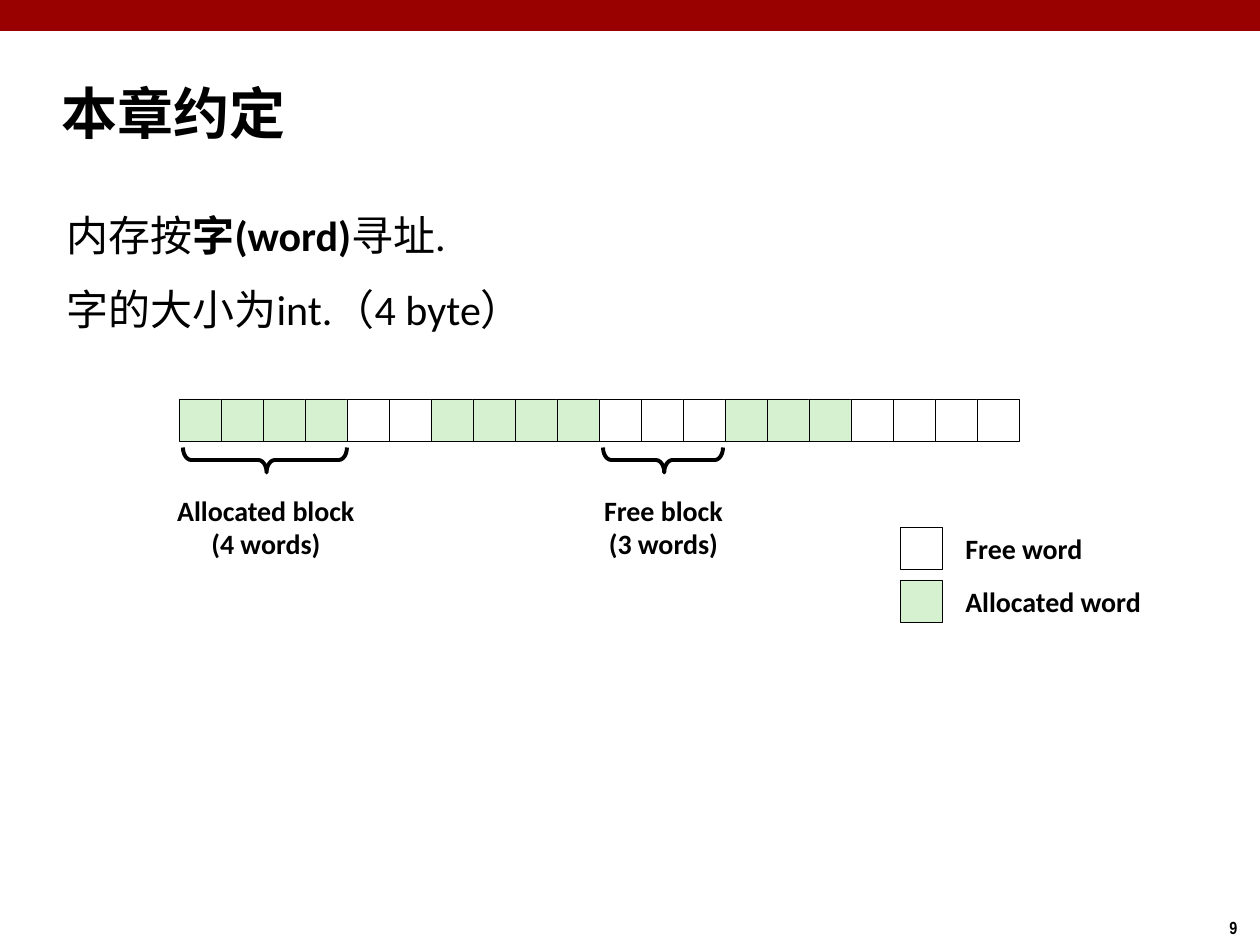
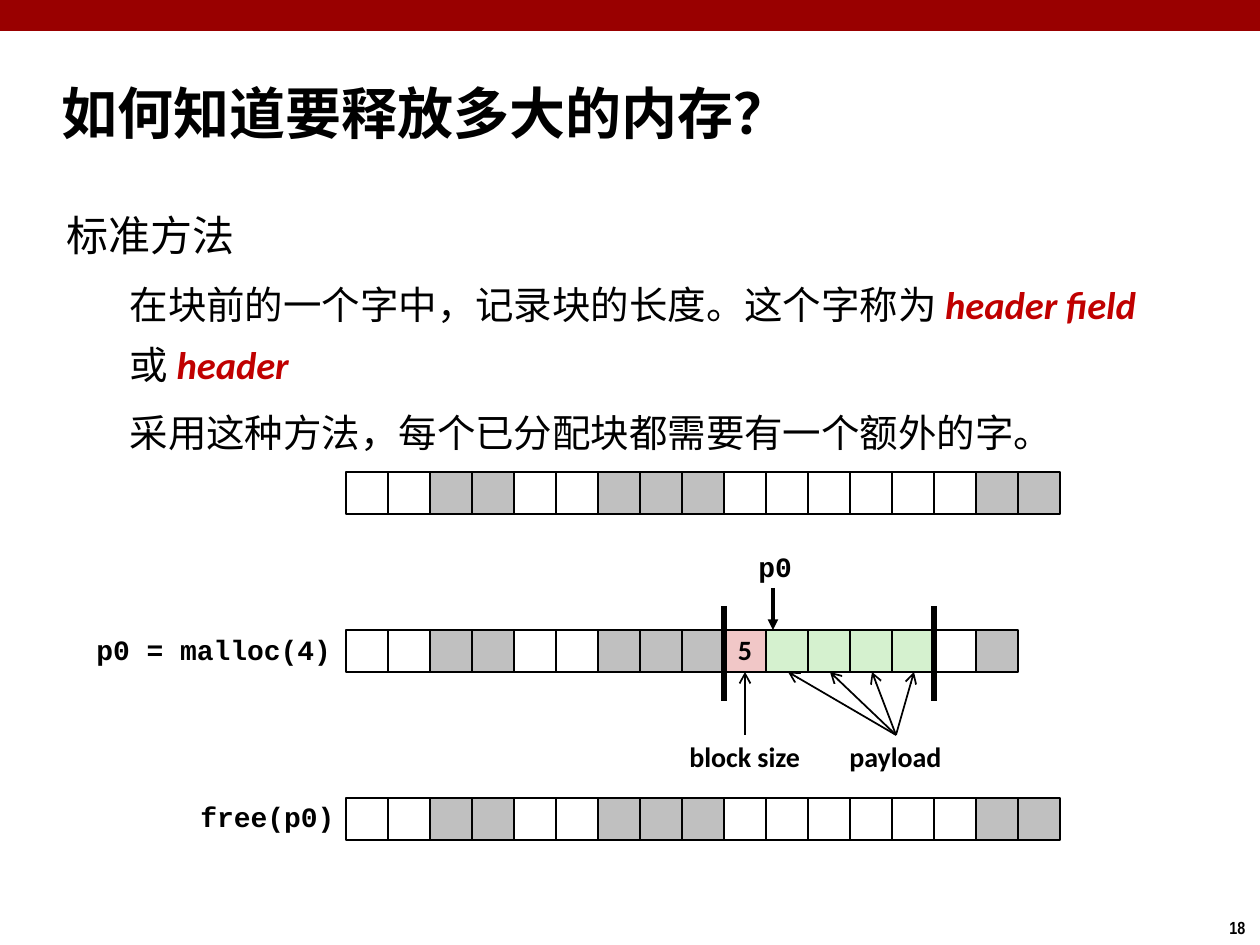
from lxml.etree import SubElement
from pptx import Presentation
from pptx.dml.color import RGBColor
from pptx.enum.shapes import MSO_CONNECTOR, MSO_SHAPE
from pptx.enum.text import MSO_ANCHOR, MSO_AUTO_SIZE, PP_ALIGN
from pptx.oxml.ns import qn
from pptx.util import Emu, Pt

PX_PER_INCH = 126
PAGE_WIDTH, PAGE_HEIGHT = 1260, 945
CELL = 42

BLACK = RGBColor(0x00, 0x00, 0x00)
WHITE = RGBColor(0xFF, 0xFF, 0xFF)
BAND_RED = RGBColor(0x99, 0x00, 0x00)
TERM_RED = RGBColor(0xC0, 0x00, 0x00)
GREEN = RGBColor(0xD5, 0xF1, 0xCF)
GREY = RGBColor(0xC0, 0xC0, 0xC0)
PINK = RGBColor(0xF1, 0xC7, 0xC7)
CELL_FILLS = {"F": WHITE, "A": GREEN, "U": GREY, "H": PINK}

SANS, MONO, NARROW = "Calibri", "Courier New", "Arial Narrow"
PLAIN, BOLD, TERM = "plain", "bold", "term"
BODY_SIZES = (24, 22)
LEVEL_INDENT = 63


def px(length):
    """Turn pixels into EMU."""
    return Emu(round(length * 914400 / PX_PER_INCH))


def place(shape, left, top, width, height):
    """Move and size a shape in pixels."""
    shape.left, shape.top = px(left), px(top)
    shape.width, shape.height = px(width), px(height)


def style_font(font, size, name=SANS, bold=True):
    """Set a black font."""
    font.size, font.name, font.bold = Pt(size), name, bold
    font.color.rgb = BLACK


def add_box(page, kind, left, top, width, height, fill=None, line=None):
    """Add a preset shape, with a black outline if a line width is given."""
    box = page.shapes.add_shape(kind, px(left), px(top), px(width), px(height))
    box.shadow.inherit = False
    if fill is None:
        box.fill.background()
    else:
        box.fill.solid()
        box.fill.fore_color.rgb = fill
    if line is None:
        box.line.fill.background()
    else:
        box.line.color.rgb = BLACK
        box.line.width = Pt(line)
    return box


def write_lines(frame, lines, size=16, name=SANS, align=PP_ALIGN.LEFT, spacing=0.98):
    """Fill a text frame that does not wrap with bold lines."""
    frame.word_wrap = False
    frame.text = "\n".join(lines)
    for para in frame.paragraphs:
        para.alignment = align
        para.line_spacing = spacing
        style_font(para.font, size, name)


def add_label(page, left, top, width, height, *lines, **style):
    """Add a text box that fits its lines."""
    label = page.shapes.add_textbox(px(left), px(top), px(width), px(height))
    write_lines(label.text_frame, lines, **style)
    label.text_frame.auto_size = MSO_AUTO_SIZE.SHAPE_TO_FIT_TEXT


def add_cell(page, left, top, kind, line, text=None):
    """Add one memory word."""
    cell = add_box(page, MSO_SHAPE.RECTANGLE, left, top, CELL, CELL, CELL_FILLS[kind], line)
    if text:
        cell.text_frame.vertical_anchor = MSO_ANCHOR.MIDDLE
        write_lines(cell.text_frame, [text], align=PP_ALIGN.CENTER)


def add_memory(page, left, top, kinds, line=1, header=None):
    """Add a row of memory words, one per letter of kinds."""
    for index, kind in enumerate(kinds):
        text = header if kind == "H" else None
        add_cell(page, left + index * CELL, top, kind, line, text)


def add_brace(page, center_x, center_y, span):
    """Add a brace that opens upwards over a span of words."""
    depth = 25
    brace = add_box(page, MSO_SHAPE.LEFT_BRACE, center_x - depth / 2,
                    center_y - span / 2, depth, span, line=2.25)
    brace.rotation = 270
    brace.adjustments[0], brace.adjustments[1] = 0.33, 0.51


def add_line(page, start, end, width, head=None):
    """Add a straight line, with an arrowhead at its end if one is named."""
    line = page.shapes.add_connector(MSO_CONNECTOR.STRAIGHT, *map(px, start + end))
    line.line.color.rgb = BLACK
    line.line.width = Pt(width)
    properties = line._element.spPr
    if head:
        SubElement(properties.find(qn("a:ln")), qn("a:tailEnd"), type=head)
    SubElement(properties, qn("a:effectLst"))


def fill_body(body, items):
    """Write (level, spans) items into the body placeholder."""
    place(body, 54, 188, 1131, 723)
    frame = body.text_frame
    frame.word_wrap = True
    frame.auto_size = MSO_AUTO_SIZE.NONE
    for index, (level, spans) in enumerate(items):
        para = frame.paragraphs[0] if index == 0 else frame.add_paragraph()
        size = BODY_SIZES[level]
        properties = para._p.get_or_add_pPr()
        properties.set("marL", str(px(level * LEVEL_INDENT)))
        properties.set("indent", "0")
        SubElement(properties, qn("a:buNone"))
        para.level = level
        para.line_spacing = 1.3
        para.space_before = Pt(size * 0.2 if index else 0)
        style_font(para.font, size, bold=False)
        for text, look in spans:
            span = para.add_run()
            span.text = text
            if look != PLAIN:
                span.font.bold = True
            if look == TERM:
                span.font.italic = True
                span.font.color.rgb = TERM_RED


def add_page(deck, title, number, items):
    """Add a slide with band, title, body and page number."""
    page = deck.slides.add_slide(deck.slide_layouts[1])
    add_box(page, MSO_SHAPE.RECTANGLE, 0, 0, PAGE_WIDTH, 31, BAND_RED)
    add_label(page, 1217, 911, 43, 34, str(number), size=10, name=NARROW, spacing=1.0)
    heading = page.shapes.title
    place(heading, 49, 60, 1046, 105)
    heading.text_frame.text = title
    heading.text_frame.vertical_anchor = MSO_ANCHOR.MIDDLE
    para = heading.text_frame.paragraphs[0]
    para.alignment = PP_ALIGN.LEFT
    style_font(para.font, 32)
    fill_body(page.placeholders[1], items)
    return page


def build_conventions(deck):
    """Build the slide on words and blocks."""
    page = add_page(deck, "本章约定", 9, [
        (0, [("内存按", PLAIN), ("字(word)", BOLD), ("寻址.", PLAIN)]),
        (0, [("字的大小为int.（4 byte）", PLAIN)]),
    ])
    thin = 0.25
    add_memory(page, 179, 399, "AAAAFFAAAAFFFAAAFFFF", thin)
    add_label(page, 164, 489, 204, 79, "Allocated block", "(4 words)", align=PP_ALIGN.CENTER)
    add_label(page, 588, 489, 151, 79, "Free block", "(3 words)", align=PP_ALIGN.CENTER)
    for top, kind, text, width in ((527, "F", "Free word", 144),
                                   (580, "A", "Allocated word", 203)):
        add_cell(page, 900, top, kind, thin)
        add_label(page, 953, top, width, 47, text)
    add_brace(page, 265, 460, 164)
    add_brace(page, 663, 460, 120)


def build_header_method(deck):
    """Build the slide on the header word that keeps a block's size."""
    page = add_page(deck, "如何知道要释放多大的内存？", 18, [
        (0, [("标准方法", PLAIN)]),
        (1, [("在块前的一个字中，记录块的长度。这个字称为 ", PLAIN),
             ("header field ", TERM), ("或 ", PLAIN), ("header", TERM)]),
        (1, [("采用这种方法，每个已分配块都需要有一个额外的字。", PLAIN)]),
    ])
    heap_left, malloc_top = 346, 630
    heap = "FFUUFFUUUFFFFFFUU"
    code = {"name": MONO, "spacing": 0.94}

    add_memory(page, heap_left, 472, heap)
    add_label(page, 84, 629, 263, 45, "p0 = malloc(4)", **code)
    add_memory(page, heap_left, malloc_top, "FFUUFFUUUHAAAAFU", header="5")
    add_label(page, 188, 796, 161, 45, "free(p0)", **code)
    add_memory(page, heap_left, 798, heap)

    add_label(page, 746, 546, 59, 44, "p0", **code)
    add_line(page, (773, 588), (773, malloc_top), 2, "triangle")
    for border in (9, 14):
        x = heap_left + border * CELL
        add_line(page, (x, 606), (x, 701), 3)

    add_label(page, 677, 735, 137, 47, "block size")
    add_label(page, 837, 735, 118, 47, "payload")
    cell_bottom = malloc_top + CELL
    add_line(page, (745, 735), (745, cell_bottom), 1, "arrow")
    for word in range(4):
        add_line(page, (896, 735), (788 + word * CELL, cell_bottom), 1, "arrow")


def main():
    """Build and save the deck."""
    deck = Presentation()
    deck.slide_width, deck.slide_height = px(PAGE_WIDTH), px(PAGE_HEIGHT)
    build_conventions(deck)
    build_header_method(deck)
    deck.save("out.pptx")


if __name__ == "__main__":
    main()
